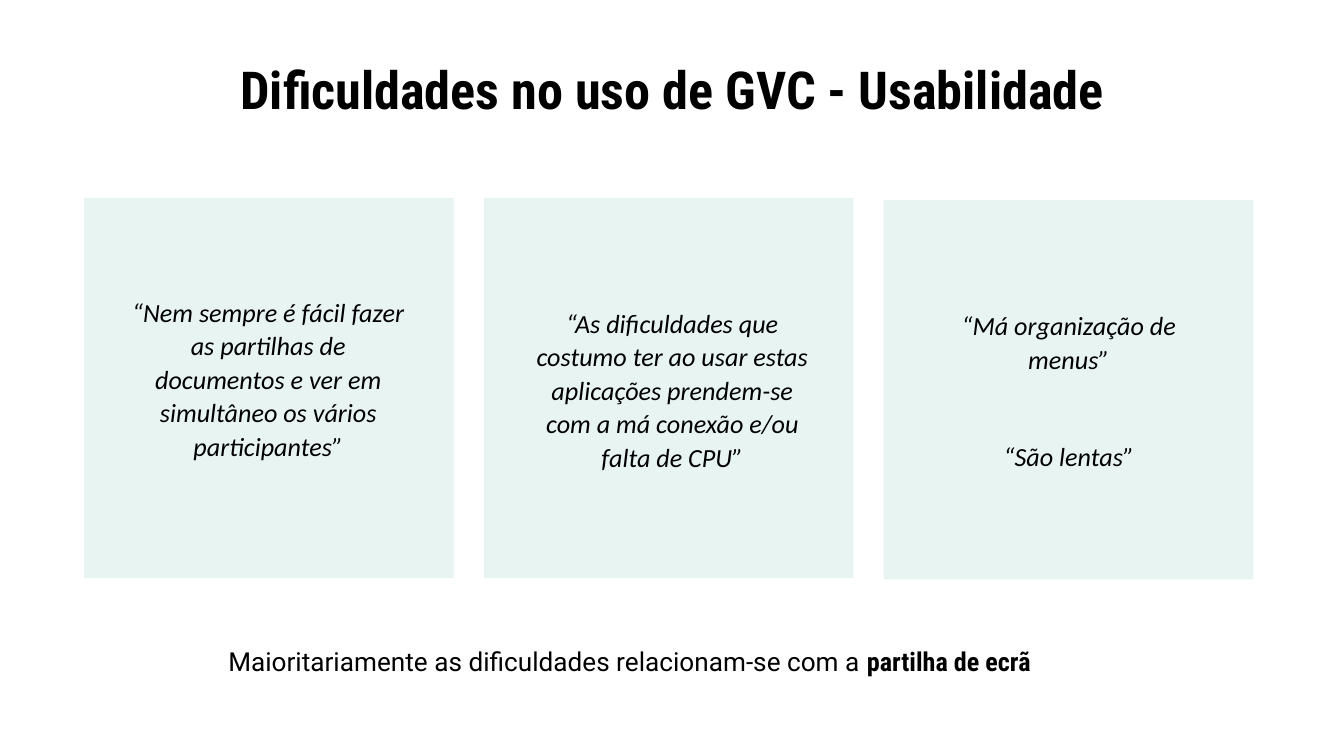
from dataclasses import dataclass

from lxml.etree import SubElement
from pptx import Presentation
from pptx.dml.color import RGBColor
from pptx.enum.shapes import MSO_SHAPE as SHAPE
from pptx.enum.text import MSO_ANCHOR as ANCHOR, MSO_AUTO_SIZE as AUTO, PP_ALIGN as ALIGN
from pptx.oxml.ns import qn
from pptx.util import Pt

# Content
TITLE = "Dificuldades no uso de GVC - Usabilidade"
CARDS = [  # card top, quote box (left, top, width, height), quotes
    (236, (133, 342, 373, 216),
     ["“Nem sempre é fácil fazer as partilhas de documentos e ver em simultâneo os vários participantes”"]),
    (236, (614, 355, 373, 216),
     ["“As dificuldades que costumo ter ao usar estas aplicações prendem-se com a má conexão e/ou falta de CPU”"]),
    (238, (1086, 358, 373, 211),
     ["“Má organização de menus”", "“São lentas”"]),
]
SUMMARY = "Maioritariamente as dificuldades relacionam-se com a "
SUMMARY_KEY = "partilha de ecrã"


@dataclass(frozen=True)
class Theme:
    ink: str = "000000"
    card: str = "4CAE9B"
    card_alpha: int = 13
    heading: str = "Roboto Condensed"
    body: str = "Roboto"
    quote: str = "Calibri"
    title_size: int = 28
    text_size: int = 14


T = Theme()
PX = 5715  # EMU per px, 160 px to the inch
CARD_LEFT, CARD_W, CARD_H, CARD_STEP = 100, 440, 452, 476


def emu(*lengths):
    return [v * PX for v in lengths]


def add_text(box, paragraphs, font=T.body, size=T.text_size, italic=False, align=ALIGN.LEFT,
             anchor=ANCHOR.TOP, auto=AUTO.SHAPE_TO_FIT_TEXT, line=None, gap=0, inset_y=8):
    """Add a text box; each paragraph is a list of (text, font, bold) runs."""
    tf = s.shapes.add_textbox(*emu(*box)).text_frame
    tf.word_wrap, tf.auto_size, tf.vertical_anchor = True, auto, anchor
    tf.margin_top, tf.margin_bottom = emu(inset_y, inset_y)
    for i, runs in enumerate(paragraphs):
        p = tf.add_paragraph() if i else tf.paragraphs[0]
        p.alignment, p.line_spacing, p.space_after = align, line, Pt(gap)
        for text, face, bold in runs:
            r = p.add_run()
            r.text = text
            r.font.name, r.font.size = face or font, Pt(size)
            r.font.bold, r.font.italic = bold, italic
            r.font.color.rgb = RGBColor.from_string(T.ink)


def add_card(left, top):
    sp = s.shapes.add_shape(SHAPE.RECTANGLE, *emu(left, top, CARD_W, CARD_H))
    sp.shadow.inherit = False
    sp.line.fill.background()
    sp.fill.solid()
    sp.fill.fore_color.rgb = RGBColor.from_string(T.card)
    color = sp.element.spPr.find(qn("a:solidFill"))[0]
    SubElement(color, qn("a:alpha")).set("val", str(T.card_alpha * 1000))


prs = Presentation()
prs.slide_width, prs.slide_height = emu(1600, 900)
s = prs.slides.add_slide(prs.slide_layouts[6])

# Cards
for i, (top, _, _) in enumerate(CARDS):
    add_card(CARD_LEFT + i * CARD_STEP, top)

# Title
add_text((80, 72, 1440, 66), [[(TITLE, T.heading, True)]], size=T.title_size,
         align=ALIGN.CENTER, anchor=ANCHOR.MIDDLE, auto=AUTO.NONE, inset_y=16)

# Quotes
for _, box, quotes in CARDS:
    add_text(box, [[(q, None, False)] for q in quotes], font=T.quote, italic=True,
             align=ALIGN.CENTER, line=1.07, gap=34 if len(quotes) > 1 else 8)

# Summary line
add_text((256, 761, 1080, 54), [[(SUMMARY, None, False), (SUMMARY_KEY, T.heading, True)]])

prs.save("out.pptx")
